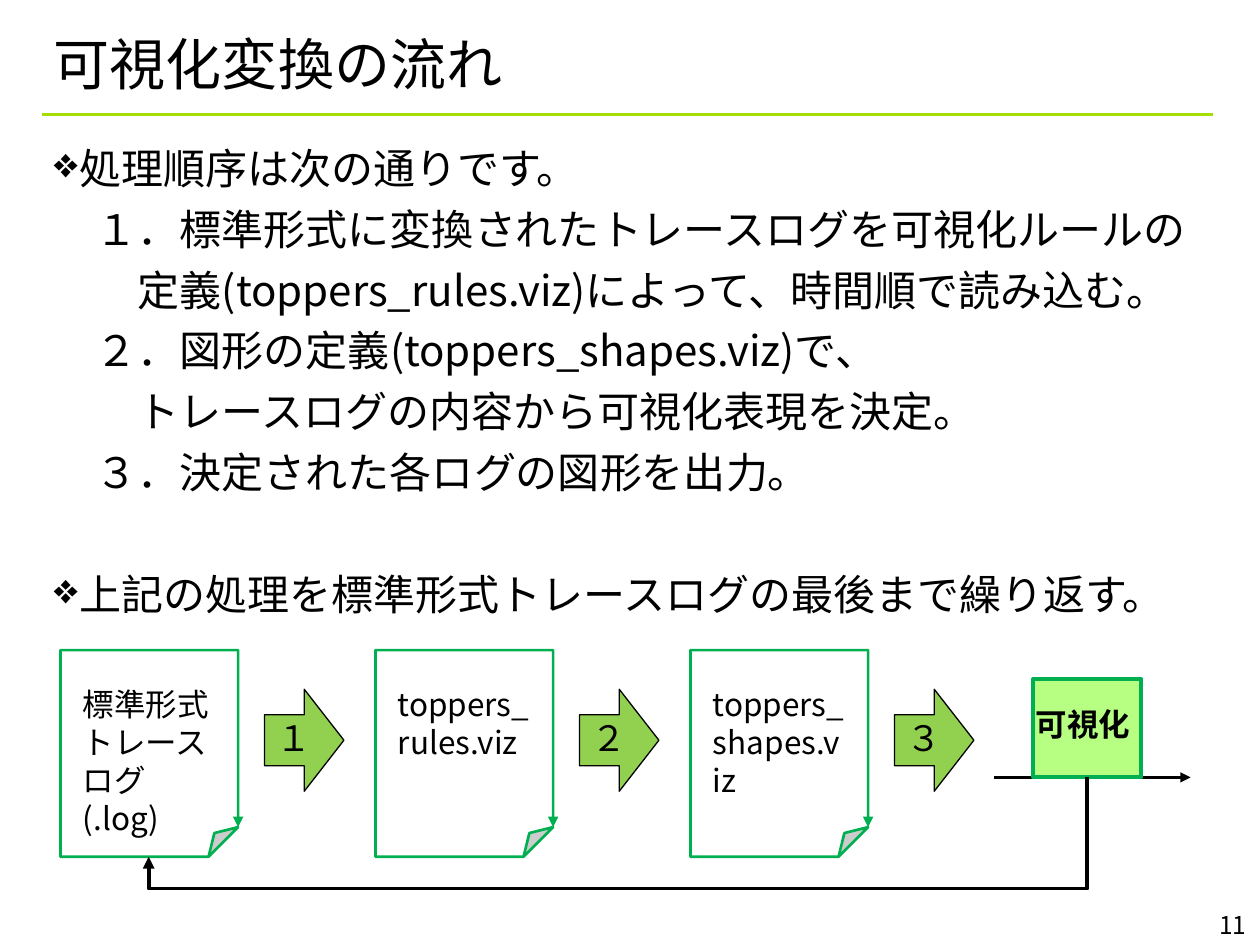
from lxml import etree
from pptx import Presentation
from pptx import util as u
from pptx.dml.color import RGBColor
from pptx.enum import shapes, text
from pptx.oxml.ns import qn

FONT = "Noto Sans CJK JP"
DIGIT_FONT = "Times New Roman"
BLACK = RGBColor(0x00, 0x00, 0x00)
WHITE = RGBColor(0xFF, 0xFF, 0xFF)
RULE_GREEN = RGBColor(0xA4, 0xDE, 0x00)
EDGE_GREEN = RGBColor(0x00, 0xB0, 0x50)
ARROW_GREEN = RGBColor(0x92, 0xD0, 0x50)
LIME = RGBColor(0x6E, 0xFF, 0x01)

BULLET_INDENT = 0.2
CHARACTER = 24 / 72
STEP = 2.5

BODY = [
    ("処理順序は次の通りです。", 0, 0),
    ("１．標準形式に変換されたトレースログを可視化ルールの", 1, 6),
    ("定義(toppers_rules.viz)によって、時間順で読み込む。", 2, 6),
    ("２．図形の定義(toppers_shapes.viz)で、", 1, 6),
    ("トレースログの内容から可視化表現を決定。", 2, 6),
    ("３．決定された各ログの図形を出力。", 1, 6),
    ("上記の処理を標準形式トレースログの最後まで繰り返す。", 0, 40.8),
]
DOCUMENTS = [
    ("標準形式トレースログ(.log)", 1.3),
    ("toppers_rules.viz", 0.7),
    ("toppers_shapes.viz", 1.0),
]


def write(paragraph, content, size=18, font=FONT, bold=False,
          align=text.PP_ALIGN.LEFT, before=0, spacing=None):
    paragraph.alignment = align
    paragraph.space_before = u.Pt(before)
    paragraph.line_spacing = spacing
    run = paragraph.add_run()
    run.text = content
    run.font.size = u.Pt(size)
    run.font.name = font
    run.font.bold = bold
    run.font.color.rgb = BLACK
    etree.SubElement(run.font._element, qn("a:ea"), typeface=FONT)


def indent(paragraph, level):
    properties = paragraph._p.get_or_add_pPr()
    if level:
        properties.set("marL", str(u.Inches(level * CHARACTER)))
        properties.set("indent", "0")
        etree.SubElement(properties, qn("a:buNone"))
    else:
        properties.set("marL", str(u.Inches(BULLET_INDENT)))
        properties.set("indent", str(-u.Inches(BULLET_INDENT)))
        etree.SubElement(properties, qn("a:buChar"), char="❖")


class SlideBuilder:
    def __init__(self, slide):
        self.slide = slide

    def style_line(self, shape, color, width, arrow=False):
        shape.line.color.rgb = color
        shape.line.width = u.Pt(width)
        if arrow:
            etree.SubElement(shape.line._get_or_add_ln(), qn("a:tailEnd"), type="triangle")

    def text_box(self, left, top, width, height, anchor=text.MSO_ANCHOR.TOP):
        box = self.slide.shapes.add_textbox(*map(u.Inches, (left, top, width, height)))
        box.text_frame.word_wrap = True
        box.text_frame.vertical_anchor = anchor
        return box.text_frame

    def label(self, content, left, top, width, height,
              anchor=text.MSO_ANCHOR.TOP, **style):
        frame = self.text_box(left, top, width, height, anchor)
        write(frame.paragraphs[0], content, **style)

    def body(self, rows, left, top, width, height):
        frame = self.text_box(left, top, width, height)
        for index, (content, level, before) in enumerate(rows):
            paragraph = frame.add_paragraph() if index else frame.paragraphs[0]
            paragraph.space_before = u.Pt(before)
            indent(paragraph, level)
            write(paragraph, content, size=24, before=before)

    def shape(self, kind, left, top, width, height, fill, line, line_width, arrow=False):
        shape = self.slide.shapes.add_shape(kind, *map(u.Inches, (left, top, width, height)))
        shape.shadow.inherit = False
        shape.fill.solid()
        shape.fill.fore_color.rgb = fill
        self.style_line(shape, line, line_width, arrow)
        return shape

    def document(self, content, left, text_height):
        self.shape(shapes.MSO_SHAPE.FOLDED_CORNER, left, 5.16, 1.41, 1.64,
                   WHITE, EDGE_GREEN, 1.5, arrow=True)
        self.label(content, left + 0.08, 5.39, 1.25, text_height)

    def step_arrow(self, number, left):
        arrow = self.shape(shapes.MSO_SHAPE.RIGHT_ARROW, left, 5.47, 0.63, 0.81,
                           ARROW_GREEN, BLACK, 0.75)
        frame = arrow.text_frame
        frame.word_wrap = False
        frame.vertical_anchor = text.MSO_ANCHOR.TOP
        write(frame.paragraphs[0], number, size=20, font=DIGIT_FONT, spacing=0.9)

    def result_box(self, content):
        box = self.shape(shapes.MSO_SHAPE.RECTANGLE, 8.2, 5.39, 0.86, 0.78,
                         LIME, EDGE_GREEN, 2.25)
        color = box._element.spPr.find(qn("a:solidFill"))[0]
        etree.SubElement(color, qn("a:alpha"), val="49000")
        self.label(content, 8.12, 5.55, 1.02, 0.4, bold=True)

    def connector(self, start, end, color, width, arrow=False,
                  kind=shapes.MSO_CONNECTOR.STRAIGHT):
        line = self.slide.shapes.add_connector(kind, *map(u.Inches, (*start, *end)))
        self.style_line(line, color, width, arrow)
        etree.SubElement(line._element.spPr, qn("a:effectLst"))
        return line

    def return_path(self, start, end, bend):
        center_x, center_y = (start[0] + end[0]) / 2, (start[1] + end[1]) / 2
        half_width, half_height = (end[1] - start[1]) / 2, (start[0] - end[0]) / 2
        line = self.connector((center_x - half_width, center_y - half_height),
                              (center_x + half_width, center_y + half_height),
                              BLACK, 2.25, True, shapes.MSO_CONNECTOR.ELBOW)
        properties = line._element.spPr
        properties.find(qn("a:xfrm")).set("rot", str(90 * 60000))
        adjustments = properties.find(qn("a:prstGeom")).find(qn("a:avLst"))
        etree.SubElement(adjustments, qn("a:gd"), name="adj1",
                         fmla=f"val {round(bend * 100000)}")


def main():
    presentation = Presentation()
    presentation.slide_width = u.Inches(10)
    presentation.slide_height = u.Inches(7.5)
    builder = SlideBuilder(presentation.slides.add_slide(presentation.slide_layouts[6]))

    builder.connector((0.33, 0.91), (9.63, 0.91), RULE_GREEN, 1.5)
    builder.label("可視化変換の流れ", 0.33, 0.25, 9.25, 0.5,
                  anchor=text.MSO_ANCHOR.MIDDLE, size=32)
    builder.body(BODY, 0.33, 1.08, 9.25, 6)
    builder.label("11", 9.08, 7.17, 0.91, 0.33, size=14, align=text.PP_ALIGN.RIGHT)

    for index, (name, text_height) in enumerate(DOCUMENTS):
        builder.document(name, 0.48 + index * STEP, text_height)
    builder.connector((7.89, 6.17), (9.45, 6.17), BLACK, 1.5, arrow=True)
    builder.result_box("可視化")
    for index, number in enumerate("１２３"):
        builder.step_arrow(number, 2.1 + index * STEP)
    builder.return_path((8.63, 6.17), (1.18, 6.8), 1.4)

    presentation.save("out.pptx")


if __name__ == "__main__":
    main()
